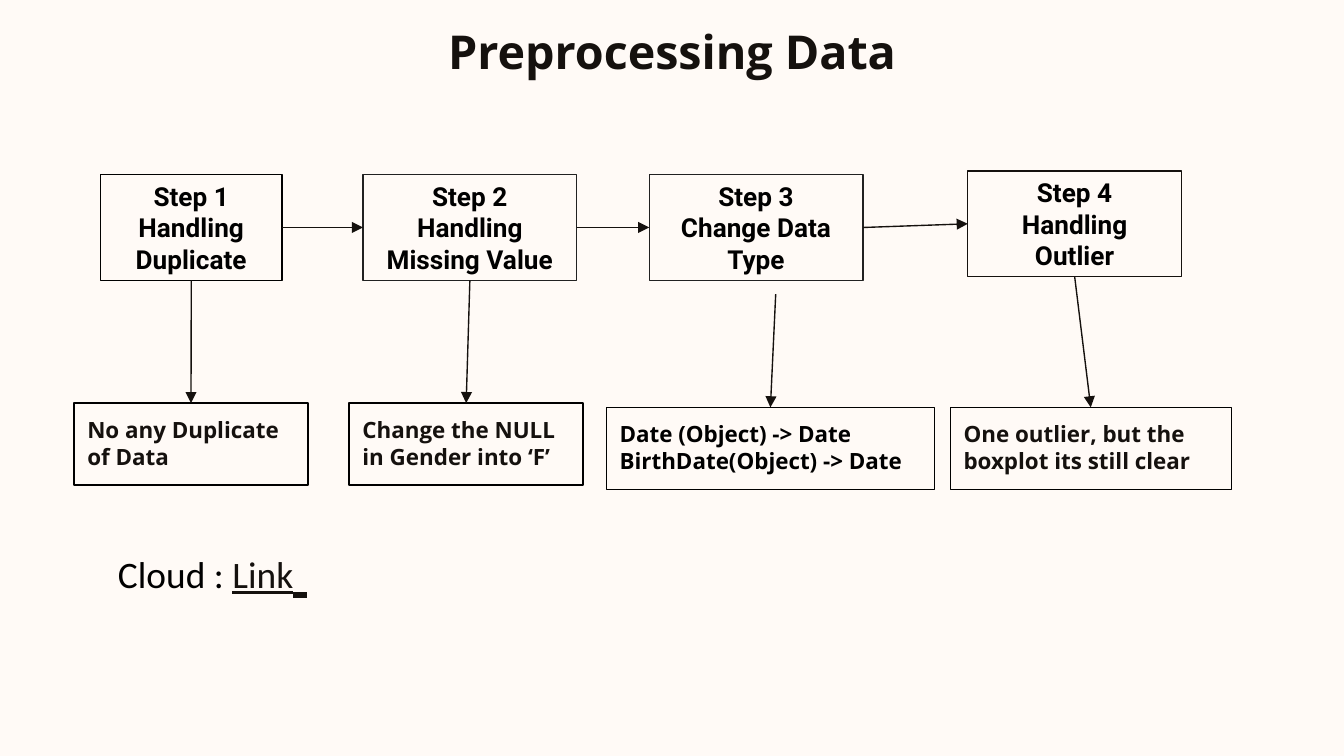
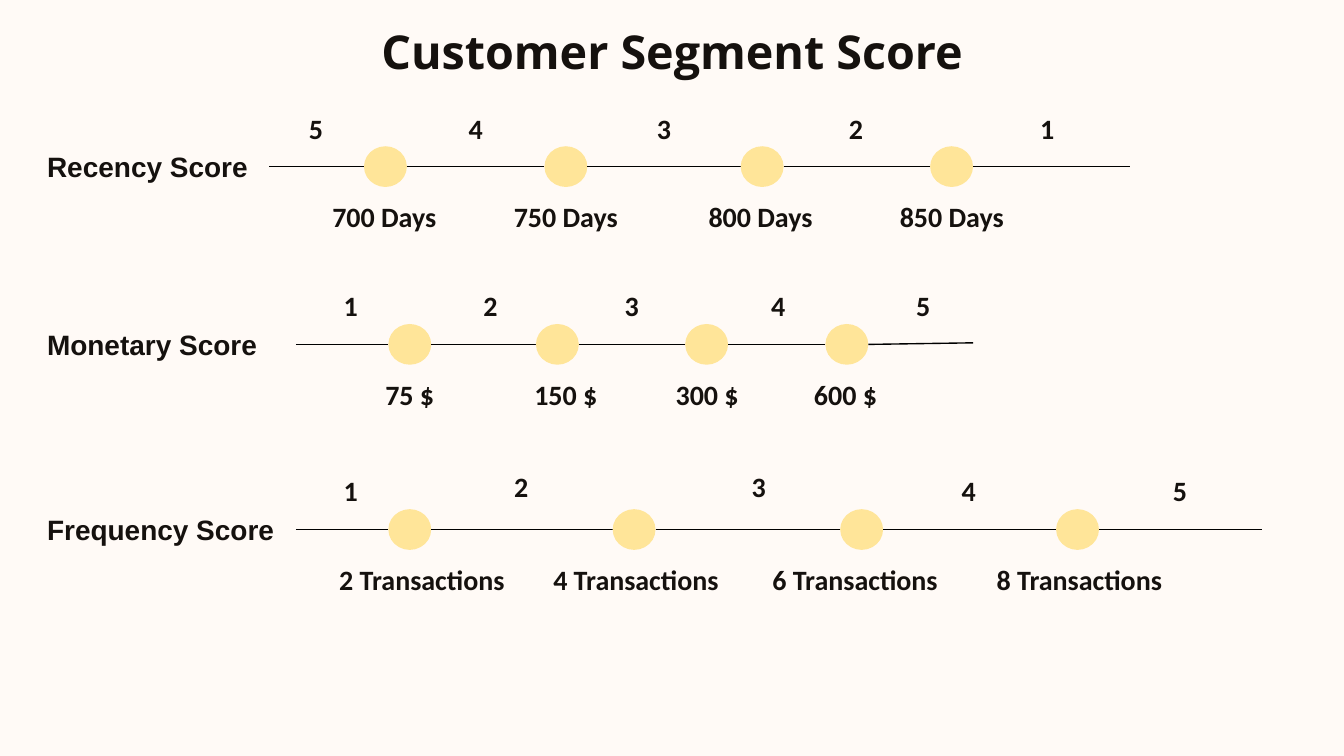
import dataclasses

import pptx
import pptx.dml.color
import pptx.enum.shapes
import pptx.enum.text
import pptx.oxml.ns
import pptx.util
import lxml.etree

Cm = pptx.util.Cm
Pt = pptx.util.Pt
Kind = pptx.enum.shapes.MSO_SHAPE
Align = pptx.enum.text.PP_ALIGN
Anchor = pptx.enum.text.MSO_ANCHOR
Fit = pptx.enum.text.MSO_AUTO_SIZE


@dataclasses.dataclass(frozen=True)
class Theme:
    paper: str = "FFFAF6"
    ink: str = "15110E"
    black: str = "000000"
    gray: str = "212121"
    sand: str = "FFE599"
    head: str = "Open Sans"
    step: str = "Roboto"
    name: str = "Arial"
    body: str = "Calibri"
    title_size: int = 25
    step_size: int = 14
    note_size: int = 12
    scale_size: int = 15
    link_size: int = 20
    tail_size: int = 32
    rule: float = 0.75
    inset: float = 0.25


THEME = Theme()

# Step flow: text, left, top, width, border
STEPS = [
    (["Step 1", "Handling", "Duplicate"], 1.9, 3.3, 3.43, THEME.black),
    (["Step 2", "Handling", "Missing Value"], 6.86, 3.3, 4.04, THEME.gray),
    (["Step 3", "Change Data Type"], 12.27, 3.3, 4.04, THEME.gray),
    (["Step 4", "Handling Outlier"], 18.29, 3.23, 4.04, THEME.ink),
]
# Result of each step: text, left, top, width, text colour
NOTES = [
    (["No any Duplicate of Data"], 1.4, 7.62, 4.42, THEME.ink),
    (["Change the NULL in Gender into ‘F’"], 6.6, 7.62, 4.42, THEME.ink),
    (["Date (Object) -> Date", "BirthDate(Object) -> Date"],
     11.46, 7.7, 6.2, THEME.black),
    (["One outlier, but the boxplot its still clear"],
     17.96, 7.7, 5.31, THEME.ink),
]


@dataclasses.dataclass(frozen=True)
class Scale:
    name: str
    width: float    # of the name
    y: float        # of the axis
    end: tuple      # of the axis
    marks: list     # dot left, text, text left, text width
    scores: list    # text, left, extra lift


SCALES = [
    Scale("Recency Score", 4.45, 3.15, (21.36, 3.15),
          [(6.88, "700 Days", 5.97, 2.59), (10.29, "750 Days", 9.45, 2.49),
           (14, "800 Days", 13.08, 2.59), (17.58, "850 Days", 16.54, 2.9)],
          [("5", 5.26, 0), ("4", 8.28, 0), ("3", 11.84, 0),
           ("2", 15.47, 0), ("1", 19.08, 0)]),
    Scale("Monetary Score", 4.95, 6.51, (18.39, 6.48),
          [(7.34, "75 $", 6.45, 2.59), (10.13, "150 $", 9.45, 2.49),
           (12.95, "300 $", 12.07, 2.59), (15.6, "600 $", 14.53, 2.9)],
          [("1", 5.92, 0), ("2", 8.56, 0), ("3", 11.23, 0),
           ("4", 14, 0), ("5", 16.74, 0)]),
    Scale("Frequency Score", 4.95, 10.01, (23.85, 10.01),
          [(7.34, "2 Transactions", 5.92, 4.11),
           (11.58, "4 Transactions", 10.13, 3.78),
           (15.88, "6 Transactions", 14.27, 3.78),
           (19.96, "8 Transactions", 18.42, 3.96)],
          [("1", 5.92, 0), ("2", 9.14, 0.08), ("3", 13.63, 0.08),
           ("4", 17.6, 0), ("5", 21.59, 0)]),
]


def rgb(color):
    return pptx.dml.color.RGBColor.from_string(color)


def add_run(para, text, font, size, color, bold=True, under=None):
    run = para.add_run()
    run.text = text
    run.font.name = font
    run.font.size = Pt(size)
    run.font.bold = bold
    run.font.underline = under
    run.font.color.rgb = rgb(color)


def set_frame(shape, anchor=Anchor.TOP, fit=Fit.NONE):
    frame = shape.text_frame
    frame.word_wrap = True
    frame.auto_size = fit
    frame.vertical_anchor = anchor
    inset = Cm(THEME.inset)
    frame.margin_left = frame.margin_right = inset
    frame.margin_top = frame.margin_bottom = inset
    return frame


def fill_text(frame, lines, font, size, color, align=Align.LEFT):
    for num, line in enumerate(lines):
        para = frame.add_paragraph() if num else frame.paragraphs[0]
        para.alignment = align
        add_run(para, line, font, size, color)


def add_label(slide, text, left, top, width, font, align):
    box = slide.shapes.add_textbox(Cm(left), Cm(top), Cm(width), Cm(1.14))
    frame = set_frame(box, fit=Fit.SHAPE_TO_FIT_TEXT)
    fill_text(frame, [text], font, THEME.scale_size, THEME.ink, align)


def add_box(slide, left, top, width, height, border):
    box = slide.shapes.add_shape(
        Kind.RECTANGLE, Cm(left), Cm(top), Cm(width), Cm(height))
    box.shadow.inherit = False
    box.fill.background()
    box.line.color.rgb = rgb(border)
    box.line.width = Pt(THEME.rule)
    return box


def add_dot(slide, left, mid):
    high = 0.77
    dot = slide.shapes.add_shape(
        Kind.OVAL, Cm(left), Cm(mid - high / 2), Cm(0.81), Cm(high))
    dot.shadow.inherit = False
    dot.fill.solid()
    dot.fill.fore_color.rgb = rgb(THEME.sand)
    dot.line.fill.background()


def add_line(slide, start, end, color):
    line = slide.shapes.add_connector(
        pptx.enum.shapes.MSO_CONNECTOR.STRAIGHT,
        *[Cm(part) for part in (*start, *end)])
    line.line.color.rgb = rgb(color)
    line.line.width = Pt(THEME.rule)
    props = line._element.spPr
    lxml.etree.SubElement(props, pptx.oxml.ns.qn("a:effectLst"))
    return line


def add_arrow(slide, box, site, goal, goal_site, start=(0, 0)):
    """Join box to goal; without a box the arrow begins at start."""
    line = add_line(slide, start, (0, 0), THEME.ink)
    if box is not None:
        line.begin_connect(box, site)
    line.end_connect(goal, goal_site)
    lxml.etree.SubElement(
        line.line._get_or_add_ln(), pptx.oxml.ns.qn("a:tailEnd"),
        type="triangle")


def add_slide(deck, title):
    slide = deck.slides.add_slide(deck.slide_layouts.get_by_name("Title Only"))
    head = slide.shapes.title
    head.left, head.top = Cm(1.98), Cm(0.2)
    head.width, head.height = Cm(21.44), Cm(1.52)
    fill_text(set_frame(head, Anchor.MIDDLE), [title], THEME.head,
              THEME.title_size, THEME.ink, Align.CENTER)
    return slide


def add_flow(slide):
    steps, notes = [], []
    for lines, left, top, width, border in STEPS:
        box = add_box(slide, left, top, width, 2, border)
        fill_text(set_frame(box, Anchor.MIDDLE), lines, THEME.step,
                  THEME.step_size, THEME.black, Align.CENTER)
        steps.append(box)
    for lines, left, top, width, color in NOTES:
        box = add_box(slide, left, top, width, 1.55, THEME.black)
        frame = set_frame(box, fit=Fit.SHAPE_TO_FIT_TEXT)
        fill_text(frame, lines, THEME.head, THEME.note_size, color)
        notes.append(box)

    # Arrows across, then down; the third one down starts below its box
    for step, after in zip(steps, steps[1:]):
        add_arrow(slide, step, 3, after, 1)
    for num, (step, note) in enumerate(zip(steps, notes)):
        if num == 2:
            add_arrow(slide, None, 2, note, 0, start=(14.66, 5.56))
        else:
            add_arrow(slide, step, 2, note, 0)


def add_link(slide):
    box = slide.shapes.add_textbox(Cm(1.98), Cm(9.75), Cm(7.26), Cm(1.88))
    para = set_frame(box, fit=Fit.SHAPE_TO_FIT_TEXT).paragraphs[0]
    for text, size, color, under in [
            ("Cloud : ", THEME.link_size, THEME.black, None),
            ("Link", THEME.link_size, THEME.ink, True),
            (" ", THEME.tail_size, THEME.ink, True)]:
        add_run(para, text, THEME.body, size, color, False, under)


def add_scale(slide, scale):
    left = 0.64
    add_label(slide, scale.name, left, scale.y - 0.57, scale.width,
              THEME.name, Align.LEFT)

    # Axis pieces between the dots
    start = left + scale.width
    for dot, text, place, width in scale.marks:
        add_line(slide, (start, scale.y), (dot, scale.y), THEME.black)
        add_dot(slide, dot, scale.y)
        add_label(slide, text, place, scale.y + 0.38, width,
                  THEME.body, Align.CENTER)
        start = dot + 0.81
    add_line(slide, (start, scale.y), scale.end, THEME.black)

    # Scores above the axis
    for text, place, lift in scale.scores:
        add_label(slide, text, place, scale.y - 1.3 - lift, 1.42,
                  THEME.body, Align.CENTER)


def main():
    deck = pptx.Presentation()
    deck.slide_width, deck.slide_height = Cm(25.4), Cm(14.29)
    paper = deck.slide_master.background.fill
    paper.solid()
    paper.fore_color.rgb = rgb(THEME.paper)

    # Slide 1: preprocessing steps
    slide = add_slide(deck, "Preprocessing Data")
    add_flow(slide)
    add_link(slide)

    # Slide 2: score scales
    slide = add_slide(deck, "Customer Segment Score")
    for scale in SCALES:
        add_scale(slide, scale)

    deck.save("out.pptx")


if __name__ == "__main__":
    main()
